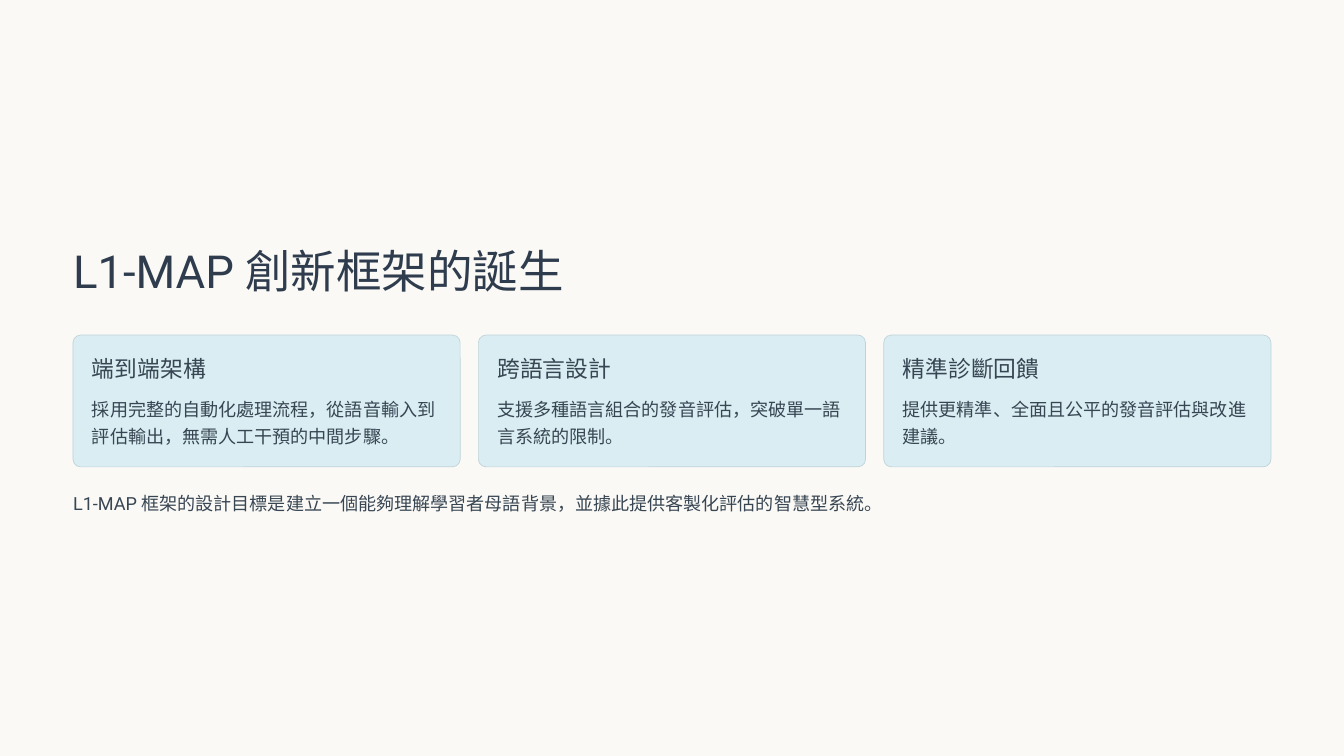
from pptx import Presentation
from pptx.dml.color import RGBColor
from pptx.enum import shapes, text
from pptx.util import Pt

TITLE = "L1-MAP 創新框架的誕生"
FEATURES = [
    ("端到端架構", "採用完整的自動化處理流程，從語音輸入到評估輸出，無需人工干預的中間步驟。"),
    ("跨語言設計", "支援多種語言組合的發音評估，突破單一語言系統的限制。"),
    ("精準診斷回饋", "提供更精準、全面且公平的發音評估與改進建議。"),
]
GOAL = "L1-MAP 框架的設計目標是建立一個能夠理解學習者母語背景，並據此提供客製化評估的智慧型系統。"

COLORS = {
    "background": "FAF9F5",
    "title": "2E3C4E",
    "body": "384653",
    "card": "D9EDF2",
    "border": "BFD3D8",
}
FONT = "Roboto"
SLIDE_W, SLIDE_H = 1152, 648
MARGIN = 62.6
CONTENT_W = SLIDE_W - 2 * MARGIN
GAP = 15.6
CARD_W = (CONTENT_W - GAP * (len(FEATURES) - 1)) / len(FEATURES)
CARD_TOP, CARD_H = 287.2, 113
PADDING = 16.2


def color(name):
    return RGBColor.from_string(COLORS[name])


def add_text(slide, words, left, top, width, height, size, leading, ink="body", wrap=False):
    frame = slide.shapes.add_textbox(Pt(left), Pt(top), Pt(width), Pt(height)).text_frame
    frame.margin_left = frame.margin_right = frame.margin_top = frame.margin_bottom = 0
    frame.auto_size = text.MSO_AUTO_SIZE.NONE
    frame.word_wrap = wrap
    line = frame.paragraphs[0]
    line.line_spacing = Pt(leading)
    run = line.add_run()
    run.text = words
    run.font.name = FONT
    run.font.size = Pt(size)
    run.font.color.rgb = color(ink)


def add_card(slide, left, heading, detail):
    card = slide.shapes.add_shape(
        shapes.MSO_SHAPE.ROUNDED_RECTANGLE, Pt(left), Pt(CARD_TOP), Pt(CARD_W), Pt(CARD_H))
    card.adjustments[0] = 0.058
    card.shadow.inherit = False
    card.fill.solid()
    card.fill.fore_color.rgb = color("card")
    card.line.color.rgb = color("border")
    card.line.width = Pt(0.6)
    inner = left + PADDING
    add_text(slide, heading, inner, CARD_TOP + 16, 195, 24.5, 19.5, 24)
    add_text(slide, detail, inner, CARD_TOP + 49.8, CARD_W - 2 * PADDING, 46.8, 15.5, 23, wrap=True)


def main():
    deck = Presentation()
    deck.slide_width, deck.slide_height = Pt(SLIDE_W), Pt(SLIDE_H)
    slide = deck.slides.add_slide(deck.slide_layouts[6])
    slide.background.fill.solid()
    slide.background.fill.fore_color.rgb = color("background")

    add_text(slide, TITLE, MARGIN, 206.6, 433.4, 49, 39, 48.5, ink="title")
    for column, (heading, detail) in enumerate(FEATURES):
        add_card(slide, MARGIN + column * (CARD_W + GAP), heading, detail)
    add_text(slide, GOAL, MARGIN, 417.6, CONTENT_W, 23.8, 15.5, 23)
    deck.save("out.pptx")


if __name__ == "__main__":
    main()
